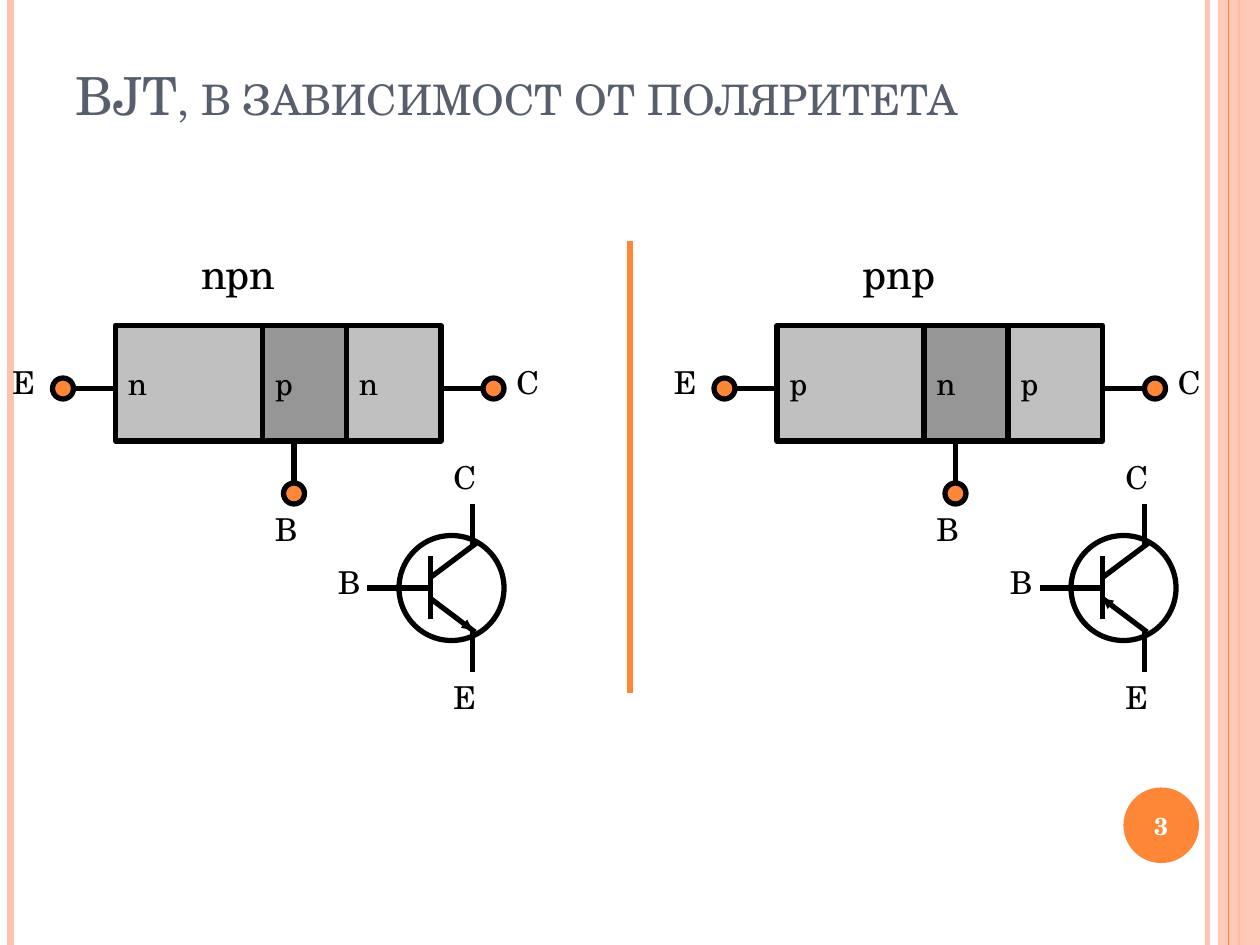
"""Build a slide that compares npn and pnp bipolar transistors."""
import pptx
import pptx.util
import pptx.dml.color
import pptx.enum.shapes
import pptx.enum.text
import pptx.oxml.ns
from lxml import etree

Cm, Pt = pptx.util.Cm, pptx.util.Pt
SHAPE = pptx.enum.shapes.MSO_SHAPE
ANCHOR = pptx.enum.text.MSO_ANCHOR
ALIGN = pptx.enum.text.PP_ALIGN
qn = pptx.oxml.ns.qn

FONT = "TeX Gyre Schola"
ORANGE, PINK, BLACK, WHITE = "FE8637", "FEC3AE", "000000", "FFFFFF"
TITLE = "BJT, в зависимост от поляритета"
PAGE_NUMBER = "3"

GRID = 2.54 / 12
WIDTH, HEIGHT = 120, 90
TYPES = [
    {"name": "npn", "block_x": 0, "symbol_x": 0, "arrow": ((41, 57), (45, 60))},
    {"name": "pnp", "block_x": 63, "symbol_x": 64, "arrow": ((45, 60), (41, 57))},
]
LAYERS = [(11, 14, "C0C0C0"), (25, 9, "969696"), (33, 9, "C0C0C0")]
LEADS = [((11, 37), (6, 37)), ((28, 42), (28, 46)), ((42, 37), (46, 37))]
TERMINALS = [(46, 36), (27, 46), (5, 36)]
BLOCK_LABELS = [("E", 0, 34), ("B", 25, 48), ("C", 48, 34)]
SYMBOL_LINES = [
    ((41, 53), (41, 59)),
    ((41, 55), (45.4, 51.7)),
    ((41, 57), (45.25, 60.2)),
    ((41, 56), (35, 56)),
    ((45, 52), (45, 48)),
    ((45, 64), (45, 60)),
]
SYMBOL_LABELS = [("B", 31, 53), ("C", 42, 43), ("E", 42, 64)]
STRIPES = [(115, PINK, 3, 93), (1, PINK, 4.5, 100), (118, ORANGE, 1.5, 100)]


def grid(n):
    return Cm(n * GRID)


def color(fill, value, alpha=100):
    fill.solid()
    fill.fore_color.rgb = pptx.dml.color.RGBColor.from_string(value)
    if alpha < 100:
        clr = fill._xPr.find(".//" + qn("a:srgbClr"))
        etree.SubElement(clr, qn("a:alpha")).set("val", str(alpha * 1000))


def write(tf, text, size, value=BLACK, bold=False, align=ALIGN.LEFT):
    p = tf.paragraphs[0]
    p.text = text
    p.alignment = align
    r = p.runs[0]
    r.font.name, r.font.size, r.font.bold = FONT, Pt(size), bold
    color(r.font.fill, value)
    return r


def add_line(s, start, end, value=BLACK, width=3, alpha=100, dx=0, arrow=False):
    (x1, y1), (x2, y2) = start, end
    sp = s.shapes.add_connector(
        pptx.enum.shapes.MSO_CONNECTOR.STRAIGHT,
        grid(x1 + dx), grid(y1), grid(x2 + dx), grid(y2))
    color(sp.line.fill, value, alpha)
    sp.line.width = Pt(width)
    if arrow:
        etree.SubElement(sp.line._get_or_add_ln(), qn("a:tailEnd")).set("type", "triangle")
    etree.SubElement(sp._element.spPr, qn("a:effectLst"))


def add_area(s, kind, x, y, w, h, fill=None, outline=True, alpha=100):
    sp = s.shapes.add_shape(kind, grid(x), grid(y), grid(w), grid(h))
    sp.shadow.inherit = False
    if fill:
        color(sp.fill, fill, alpha)
    else:
        sp.fill.background()
    if outline:
        color(sp.line.fill, BLACK)
        sp.line.width = Pt(3)
    else:
        sp.line.fill.background()
    return sp


def add_label(s, text, x, y, w=5, h=5.2, size=18):
    tf = s.shapes.add_textbox(grid(x), grid(y), grid(w), grid(h)).text_frame
    tf.word_wrap = True
    write(tf, text, size)


def add_frame(s):
    for x, value, width, alpha in STRIPES:
        add_line(s, (x, 0), (x, HEIGHT), value, width, alpha)
    add_area(s, SHAPE.RECTANGLE, 116, 0, 4, HEIGHT, PINK, False, 87)
    add_line(s, (117, 0), (117, HEIGHT), ORANGE, 0.75)
    sp = add_area(s, SHAPE.OVAL, 107, 75, 7.2, 7.2, ORANGE, False)
    tf = sp.text_frame
    tf.margin_left = tf.margin_right = tf.margin_top = tf.margin_bottom = Cm(0.1)
    tf.vertical_anchor = ANCHOR.MIDDLE
    write(tf, PAGE_NUMBER, 14, WHITE, True, ALIGN.CENTER)


def add_title(s):
    sp = s.shapes.title
    sp.left, sp.top, sp.width, sp.height = grid(6), grid(3.6), grid(98), grid(15)
    tf = sp.text_frame
    tf.vertical_anchor = ANCHOR.BOTTOM
    tf.margin_bottom = Cm(1.4)
    r = write(tf, TITLE, 30, "575F6D")
    r.font._element.set("cap", "small")


def add_block(s, name, dx):
    add_label(s, name, 18 + dx, 23, 17, 6, 24)
    for letter, (x, w, fill) in zip(name, LAYERS):
        tf = add_area(s, SHAPE.RECTANGLE, x + dx, 31, w, 11, fill).text_frame
        tf.word_wrap = False
        tf.vertical_anchor = ANCHOR.MIDDLE
        write(tf, letter, 18)
    for start, end in LEADS:
        add_line(s, start, end, dx=dx)
    for x, y in TERMINALS:
        add_area(s, SHAPE.OVAL, x + dx, y, 2, 2, ORANGE)
    for text, x, y in BLOCK_LABELS:
        add_label(s, text, x + dx, y)


def add_symbol(s, arrow, dx):
    add_area(s, SHAPE.OVAL, 38 + dx, 51, 10, 10)
    for start, end in SYMBOL_LINES:
        add_line(s, start, end, dx=dx)
    add_line(s, *arrow, width=2, dx=dx, arrow=True)
    for text, x, y in SYMBOL_LABELS:
        add_label(s, text, x + dx, y)


def main():
    prs = pptx.Presentation()
    prs.slide_width, prs.slide_height = grid(WIDTH), grid(HEIGHT)
    s = prs.slides.add_slide(prs.slide_layouts[5])
    add_frame(s)
    add_title(s)
    add_line(s, (60, 23), (60, 66), ORANGE)
    for kind in TYPES:
        add_block(s, kind["name"], kind["block_x"])
        add_symbol(s, kind["arrow"], kind["symbol_x"])
    prs.save("out.pptx")


if __name__ == "__main__":
    main()
